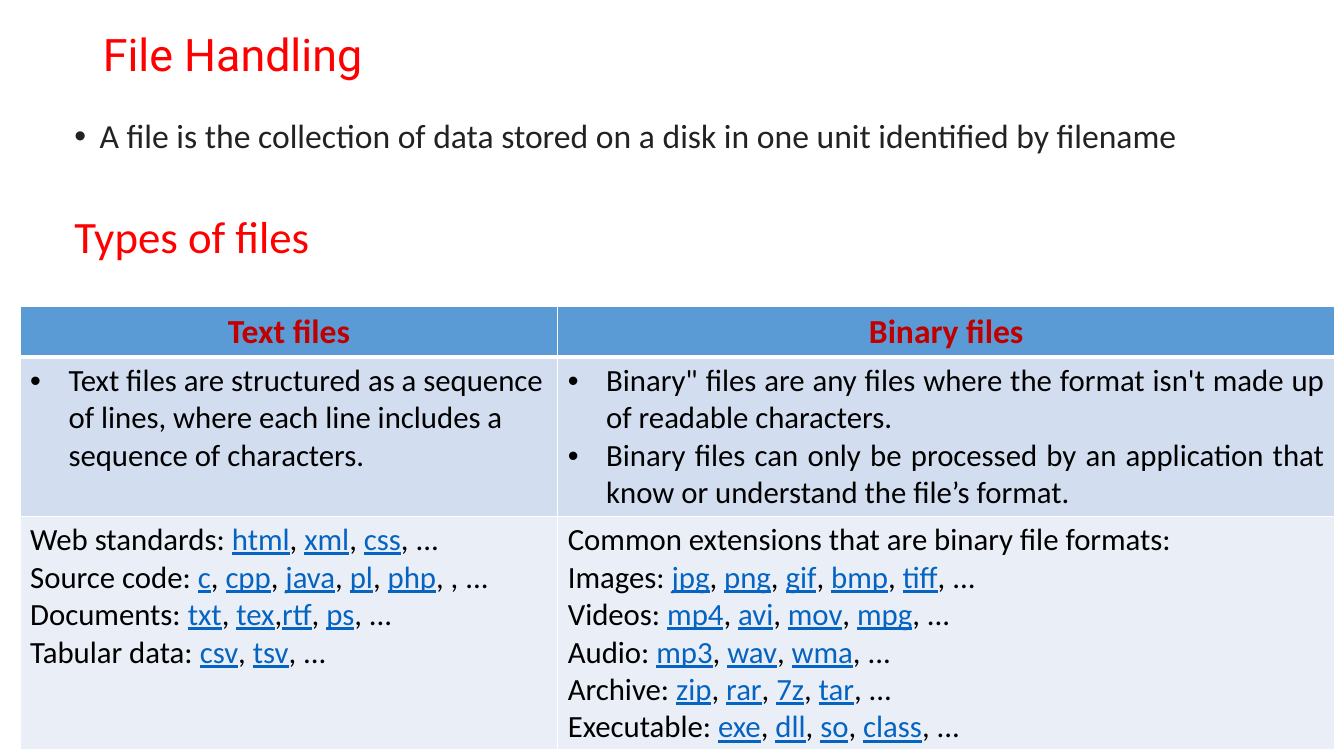
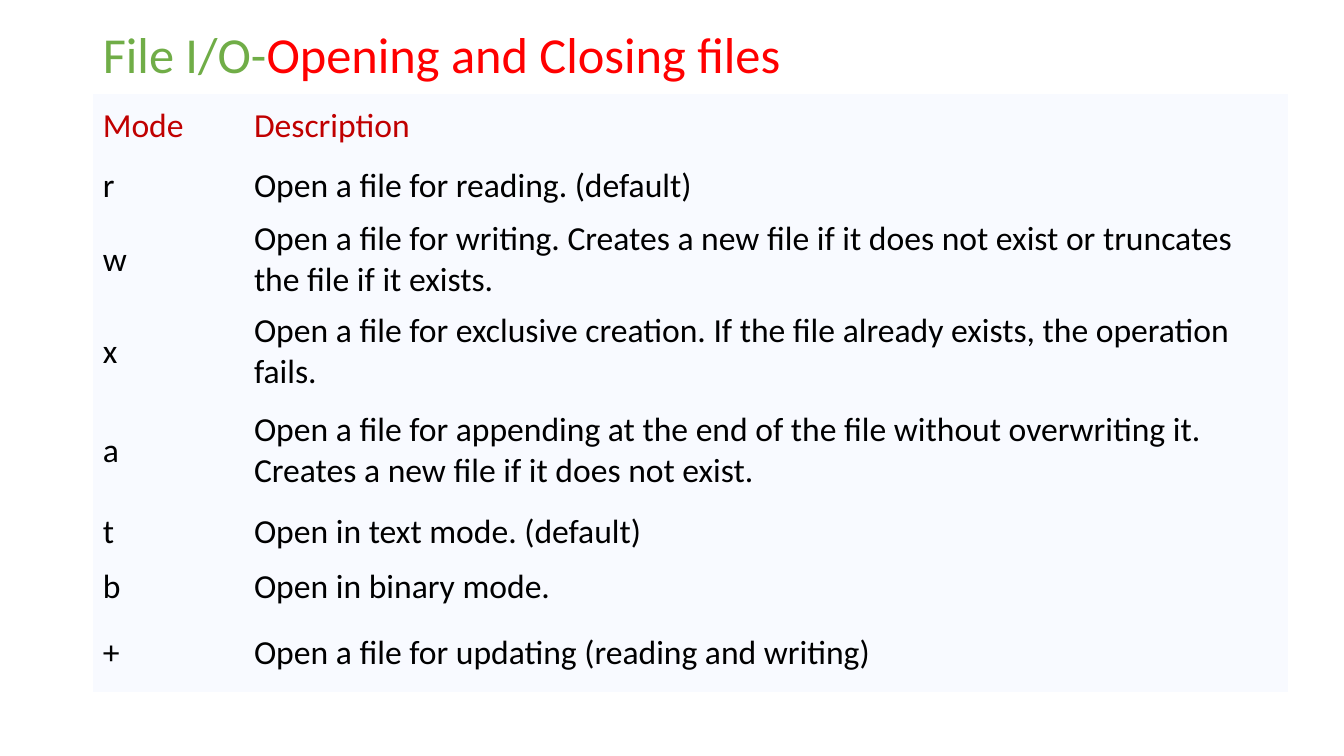
from lxml.etree import SubElement
from pptx import Presentation
from pptx.dml.color import RGBColor
from pptx.enum.text import MSO_ANCHOR, MSO_AUTO_SIZE, PP_ALIGN
from pptx.oxml.ns import qn
from pptx.util import Inches, Pt

W, H = Inches(13.33), Inches(7.5)
RED, DARK_RED, GREEN, LINK = "FF0000", "C00000", "70AD47", "0563C1"
BLACK, WHITE, INK = "000000", "FFFFFF", "222222"
HEAD, BAND, PALE, MIST = "5B9BD5", "D2DEEF", "EAEFF7", "F8FAFF"
NO_STYLE = "{2D5ABB26-0587-4C30-8999-92F81FD0307C}"
JUSTIFY = PP_ALIGN.JUSTIFY

TEXT_FILES = [
    "Web standards: _html_, _xml_, _css_, ...",
    "Source code: _c_, _cpp_, _java_, _pl_, _php_, , ...",
    "Documents: _txt_, _tex_,_rtf_, _ps_, ...",
    "Tabular data: _csv_, _tsv_, ...",
]
BINARY_FILES = [
    "Common extensions that are binary file formats:",
    "Images: _jpg_, _png_, _gif_, _bmp_, _tiff_, ...",
    "Videos: _mp4_, _avi_, _mov_, _mpg_, ...",
    "Audio: _mp3_, _wav_, _wma_, ...",
    "Archive: _zip_, _rar_, _7z_, _tar_, ...",
    "Executable: _exe_, _dll_, _so_, _class_, ...",
]
TEXT_FACTS = ["Text files are structured as a sequence of lines, where each line "
              "includes a sequence of characters."]
BINARY_FACTS = [
    "Binary\" files are any files where the format isn't made up of readable characters.",
    "Binary files can only be processed by an application that know or understand "
    "the file’s format.",
]
MODES = [
    ("Mode", "Description"),
    ("r", "Open a file for reading. (default)"),
    ("w", "Open a file for writing. Creates a new file if it does not exist or "
          "truncates the file if it exists."),
    ("x", "Open a file for exclusive creation. If the file already exists, the "
          "operation fails."),
    ("a", "Open a file for appending at the end of the file without overwriting it. "
          "Creates a new file if it does not exist."),
    ("t", "Open in text mode. (default)"),
    ("b", "Open in binary mode."),
    ("+", "Open a file for updating (reading and writing)"),
]


def rgb(color):
    """Turn a hex string into a colour."""
    return RGBColor.from_string(color)


def cols(n):
    """Return the width of n hundredths of the slide's width."""
    return round(W * n / 100)


def rows(n):
    """Return the height of n hundredths of the slide's height."""
    return round(H * n / 100)


def add_run(p, text, size=24, color=BLACK, font="Calibri", bold=False, underline=False):
    """Add formatted text to a paragraph."""
    r = p.add_run()
    r.text = text
    f = r.font
    f.size, f.name, f.bold, f.underline = Pt(size), font, bold, underline
    f.color.rgb = rgb(color)


def add_bullet(p, indent):
    """Give a paragraph a bullet with a hanging indent in inches."""
    pPr = p._p.get_or_add_pPr()
    pPr.set("marL", str(Inches(indent)))
    pPr.set("indent", str(-Inches(indent)))
    SubElement(pPr, qn("a:buFont"), typeface="Arial")
    SubElement(pPr, qn("a:buChar"), char="•")


def write(tf, paras, align=PP_ALIGN.LEFT, bullet=None, **fmt):
    """Write paragraphs, showing words between underscores as links."""
    for i, text in enumerate(paras):
        p = tf.add_paragraph() if i else tf.paragraphs[0]
        p.alignment = align
        if bullet:
            add_bullet(p, bullet)
        for j, part in enumerate(text.split("_")):
            look = {**fmt, "color": LINK, "underline": True} if j % 2 else fmt
            add_run(p, part, **look)


def add_border(cell, side, width):
    """Draw a white border on one side of a cell."""
    ln = SubElement(cell._tc.get_or_add_tcPr(), qn(f"a:ln{side}"), w=str(Pt(width)))
    SubElement(SubElement(ln, qn("a:solidFill")), qn("a:srgbClr"), val=WHITE)


def fill_cell(cell, paras, fill, **fmt):
    """Fill a cell with a colour and paragraphs."""
    cell.fill.solid()
    cell.fill.fore_color.rgb = rgb(fill)
    write(cell.text_frame, paras, **fmt)


def add_grid(s, x, y, widths, heights):
    """Add an unstyled table with the given column and row sizes."""
    frame = s.shapes.add_table(len(heights), len(widths), cols(x), rows(y),
                               cols(sum(widths)), rows(sum(heights)))
    tbl = frame.table
    tbl.horz_banding = False
    next(frame.element.iter(qn("a:tableStyleId"))).text = NO_STYLE
    for col, width in zip(tbl.columns, widths):
        col.width = cols(width)
    for row, height in zip(tbl.rows, heights):
        row.height = rows(height)
    return tbl


def add_slide(prs, parts, **fmt):
    """Add a title-only slide whose title is made of (text, colour) parts."""
    s = prs.slides.add_slide(prs.slide_layouts[5])
    sp = s.shapes.title
    sp.left, sp.top, sp.width, sp.height = cols(6.9), rows(4), cols(86.25), rows(7.07)
    tf = sp.text_frame
    tf.auto_size, tf.vertical_anchor = MSO_AUTO_SIZE.NONE, MSO_ANCHOR.MIDDLE
    p = tf.paragraphs[0]
    p.alignment, p.line_spacing = PP_ALIGN.LEFT, 0.9
    for text, color in parts:
        add_run(p, text, color=color, **fmt)
    return s


def add_intro(s):
    """Add the definition of a file and the heading of the table."""
    tf = s.shapes.add_textbox(cols(4.8), rows(15.2), cols(93.7), rows(22)).text_frame
    tf.word_wrap = True
    write(tf, ["A file is the collection of data stored on a disk in one unit "
               "identified by filename"], align=JUSTIFY, bullet=0.25, color=INK)
    p = tf.add_paragraph()
    p.alignment, p.space_before = JUSTIFY, Pt(42)
    add_run(p, "Types of files", size=32, color=RED)
    for p in tf.paragraphs:
        p.line_spacing = 0.9


def add_file_types(s):
    """Add the comparison of text and binary files."""
    tbl = add_grid(s, 1.5, 40.53, (40, 57.8), (6.4, 21.1, 30.8))
    for i, row in enumerate(tbl.rows):
        for cell in row.cells:
            for side in "LRTB":
                thick = (i, side) in ((0, "B"), (1, "T"))
                add_border(cell, side, 3 if thick else 1)
    content = zip(("Text files", "Binary files"), (TEXT_FACTS, BINARY_FACTS),
                  (PP_ALIGN.LEFT, JUSTIFY), (TEXT_FILES, BINARY_FILES))
    for c, (head, facts, align, kinds) in enumerate(content):
        fill_cell(tbl.cell(0, c), [head], HEAD, align=PP_ALIGN.CENTER,
                  color=DARK_RED, bold=True)
        fill_cell(tbl.cell(1, c), facts, BAND, align=align, bullet=0.38, size=22)
        fill_cell(tbl.cell(2, c), kinds, PALE, align=JUSTIFY, size=22)


def add_modes(s):
    """Add the table of file opening modes."""
    tbl = add_grid(s, 6.9, 12.4, (11.25, 77.7),
                   (8.53, 7.33, 12.2, 12.2, 14, 7.33, 7.33, 10.27))
    for i, texts in enumerate(MODES):
        for cell, text in zip(tbl.rows[i].cells, texts):
            cell.vertical_anchor = MSO_ANCHOR.MIDDLE
            fill_cell(cell, [text], MIST, color=BLACK if i else DARK_RED)


def main():
    """Build and save the presentation."""
    prs = Presentation()
    prs.slide_width, prs.slide_height = W, H
    s = add_slide(prs, [("File Handling", RED)], size=32, font="Roboto")
    add_intro(s)
    add_file_types(s)
    s = add_slide(prs, [("File I/O-", GREEN), ("Opening and Closing files", RED)], size=36)
    add_modes(s)
    prs.save("out.pptx")


if __name__ == "__main__":
    main()
